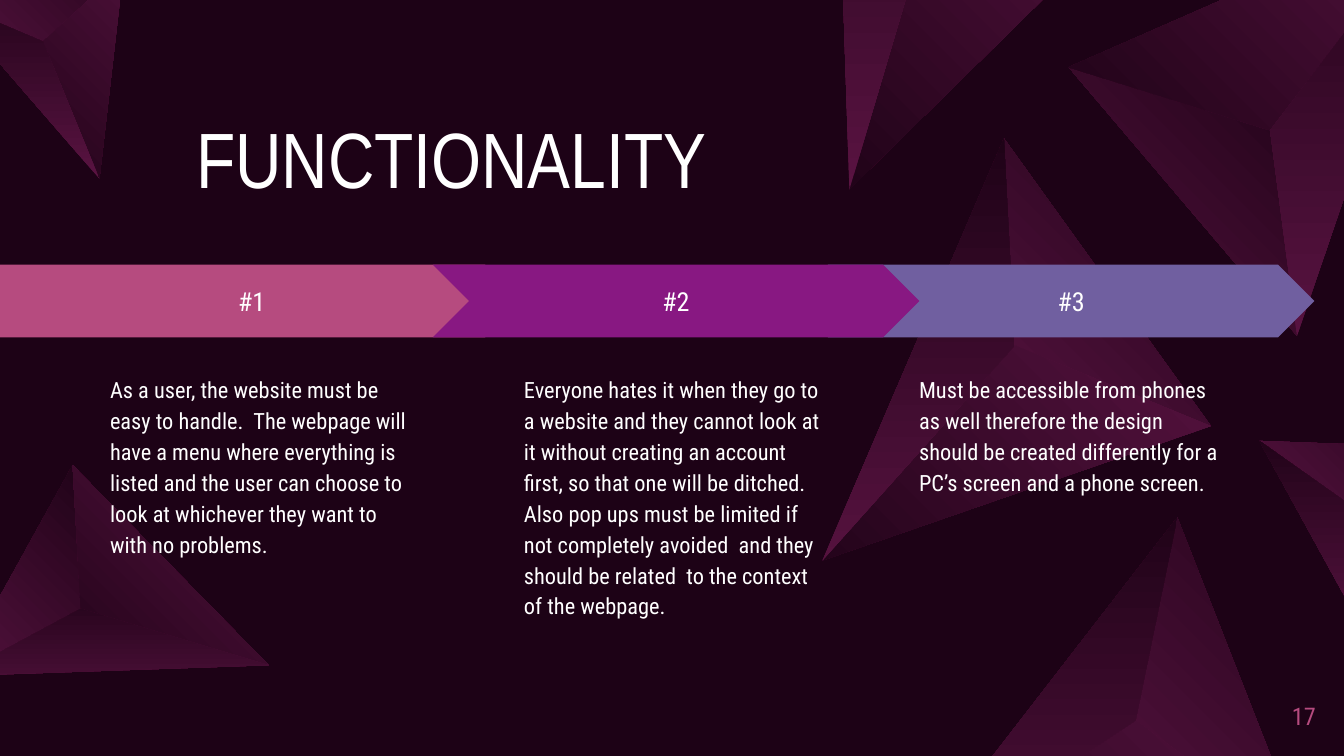
import math
from dataclasses import dataclass

from pptx import Presentation
from pptx import util as u
from pptx.dml import color
from pptx.enum import shapes, text
from pptx.oxml import ns


@dataclass(frozen=True)
class Theme:
    """Colours, fonts and type sizes of the slide."""
    background: str = "1D0216"
    glow: str = "591341"
    light: str = "FFFFFF"
    pink: str = "B64B7F"
    purple: str = "881882"
    violet: str = "705FA0"
    title_font: str = "Arial Narrow"
    body_font: str = "Roboto Condensed"
    title_size: int = 42
    label_size: int = 14
    body_size: int = 12
    number_size: int = 13


THEME = Theme()
PAGE_WIDTH = u.Inches(10)
PAGE_HEIGHT = PAGE_WIDTH * 9 // 16
BAND_TOP, BAND_HEIGHT = 1.97, 0.54
BODY_TOP, BODY_WIDTH, BODY_HEIGHT = 2.67, 2.45, 2.11

GEMS = [
    (100.5, (9.65, 2.5), (7.95, 0.5), (10.75, -0.73), (9.45, 0.97)),
    (169.6, (-0.33, 5.03), (0.54, 3.46), (2, 4.95), (0.6, 4.53)),
    (285.1, (7.47, 1.03), (9.01, 3.17), (6.12, 4.17), (7.55, 2.57)),
    (299.6, (8.76, 3.85), (9.72, 6.3), (6.67, 6.55), (8.45, 5.36)),
    (233.2, (9.37, 3.28), (10.73, 3.33), (10.22, 4.83), (10.02, 3.74)),
    (259.7, (6.21, -2), (8.51, -0.74), (6.32, 1.41), (6.93, -0.65)),
    (220.8, (-0.41, 0), (0.92, -0.24), (0.74, 1.33), (0.32, 0.31)),
]

STEPS = [
    ("#3", "CHEVRON", 6.16, 3.62, THEME.violet, 6.74, [
        "Must be accessible from phones as well therefore the design should be "
        "created differently for a PC’s screen and a phone screen."]),
    ("#1", "PENTAGON", 0, 3.88, THEME.pink, 0.72, [
        "As a user, the website must be easy to handle.  The webpage will have "
        "a menu where everything is listed and the user can choose to look at "
        "whichever they want to with no problems."]),
    ("#2", "CHEVRON", 3.22, 3.62, THEME.purple, 3.8, [
        "Everyone hates it when they go to a website and they cannot look at it "
        "without creating an account first, so that one will be ditched.",
        "Also pop ups must be limited if not completely avoided  and they "
        "should be related  to the context of the webpage."]),
]


def rgb(value):
    """Return the colour object for a hex value."""
    return color.RGBColor.from_string(value)


def set_values(target, values):
    """Set each attribute named in a dict of format values."""
    for name, value in values.items():
        setattr(target, name, value)


def turn(point, degrees):
    """Rotate a point clockwise about the slide's corner."""
    x, y = point
    cosine, sine = math.cos(math.radians(degrees)), math.sin(math.radians(degrees))
    return x * cosine - y * sine, x * sine + y * cosine


def add_facet(slide, points, rotation, angle):
    """Draw a gradient triangle that lands on the points once rotated."""
    local = [turn(point, -rotation) for point in points]
    middle = [(min(axis) + max(axis)) / 2 for axis in zip(*local)]
    shift = [after - before for after, before in zip(turn(middle, rotation), middle)]
    corners = [(u.Inches(x + shift[0]), u.Inches(y + shift[1])) for x, y in local]
    builder = slide.shapes.build_freeform(*corners[0])
    builder.add_line_segments(corners[1:])
    facet = builder.convert_to_shape()
    facet.rotation = rotation
    facet.shadow.inherit = False
    facet.line.fill.background()
    facet.fill.gradient()
    facet.fill.gradient_angle = angle
    for stop, value in zip(facet.fill.gradient_stops, (THEME.glow, THEME.background)):
        stop.color.rgb = rgb(value)
    gradient = facet.element.spPr.find(ns.qn("a:gradFill"))
    gradient.set("rotWithShape", "0")


def add_gem(slide, rotation, first, second, third, peak):
    """Draw the facets of a gem that reach onto the slide."""
    facets = [((first, second, peak), 45), ((second, third, peak), 225),
              ((first, peak, third), 90)]
    for points, angle in facets:
        if max(y for _, y in points) > 0:
            add_facet(slide, points, rotation, angle)


def write(shape, paragraphs, font, size, ink, inset=0.1, anchor="TOP",
          align="LEFT", spacing=1.0):
    """Fill a shape with evenly formatted paragraphs."""
    frame = shape.text_frame
    frame.text = "\n".join(paragraphs)
    margins = {f"margin_{side}": u.Inches(inset)
               for side in ("left", "top", "right", "bottom")}
    set_values(frame, {"word_wrap": True, **margins,
                       "vertical_anchor": text.MSO_ANCHOR[anchor]})
    for paragraph in frame.paragraphs:
        set_values(paragraph, {"alignment": text.PP_ALIGN[align],
                               "line_spacing": spacing})
        for run in paragraph.runs:
            set_values(run.font, {"name": font, "size": u.Pt(size)})
            run.font.color.rgb = rgb(ink)


def add_text(slide, box, paragraphs, font, size, ink, **layout):
    """Add a text box at left, top, width and height."""
    shape = slide.shapes.add_textbox(*map(u.Inches, box))
    write(shape, paragraphs, font, size, ink, **layout)


def add_step(slide, label, kind, left, width, fill, body_left, paragraphs):
    """Add one arrow of the band and the text below it."""
    arrow = slide.shapes.add_shape(
        shapes.MSO_SHAPE[kind],
        *map(u.Inches, (left, BAND_TOP, width, BAND_HEIGHT)))
    arrow.adjustments[0] = 0.5
    arrow.shadow.inherit = False
    arrow.fill.solid()
    arrow.fill.fore_color.rgb = rgb(fill)
    arrow.line.fill.background()
    write(arrow, [label], THEME.body_font, THEME.label_size, THEME.light,
          anchor="MIDDLE", align="CENTER")
    add_text(slide, (body_left, BODY_TOP, BODY_WIDTH, BODY_HEIGHT), paragraphs,
             THEME.body_font, THEME.body_size, THEME.light, spacing=1.15)


def main():
    """Build and save the slide."""
    presentation = Presentation()
    set_values(presentation, {"slide_width": PAGE_WIDTH,
                              "slide_height": PAGE_HEIGHT})
    slide = presentation.slides.add_slide(presentation.slide_layouts[6])
    slide.background.fill.solid()
    slide.background.fill.fore_color.rgb = rgb(THEME.background)
    for gem in GEMS:
        add_gem(slide, *gem)
    add_text(slide, (1.46, 0.88, 7.08, 0.65), ["FUNCTIONALITY"], THEME.title_font,
             THEME.title_size, THEME.light, inset=0, anchor="BOTTOM", spacing=0.9)
    add_text(slide, (9.35, 5.11, 0.44, 0.43), ["17"], THEME.body_font,
             THEME.number_size, THEME.pink, inset=0, anchor="MIDDLE", align="RIGHT")
    for step in STEPS:
        add_step(slide, *step)
    presentation.save("out.pptx")


if __name__ == "__main__":
    main()
